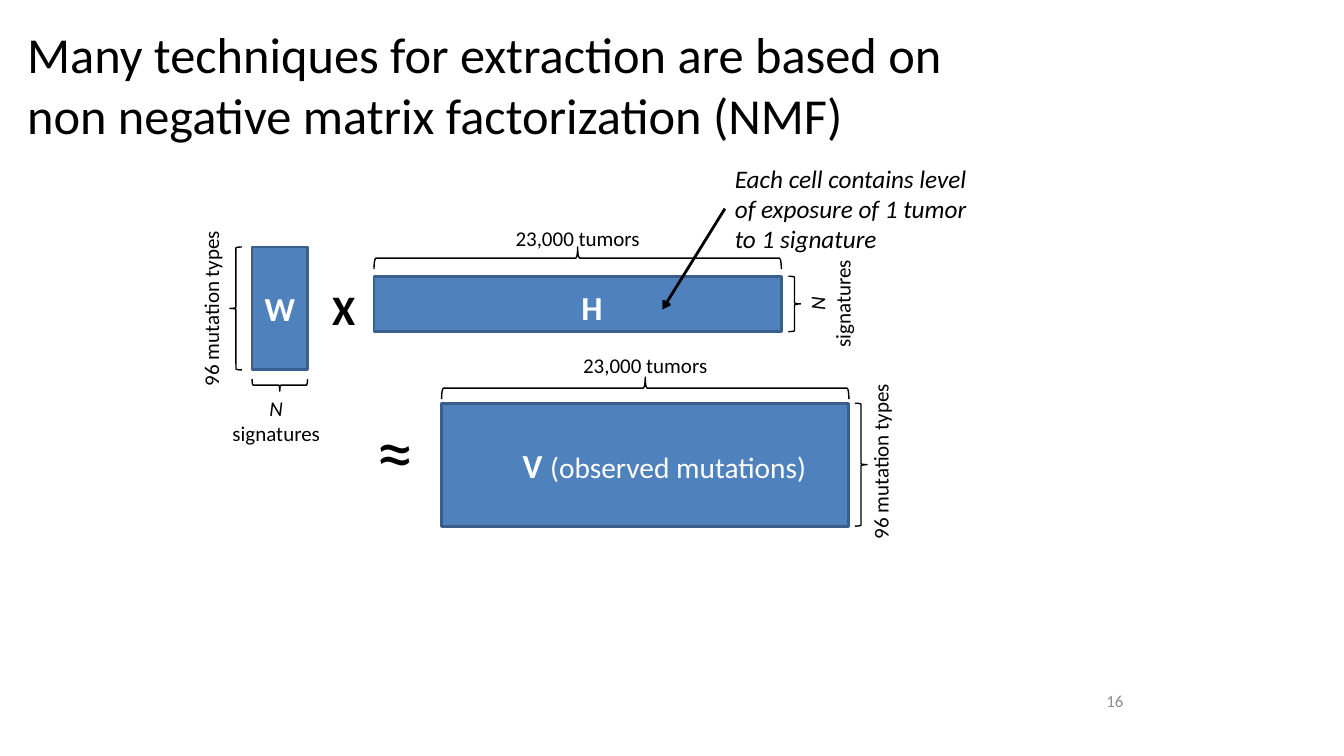
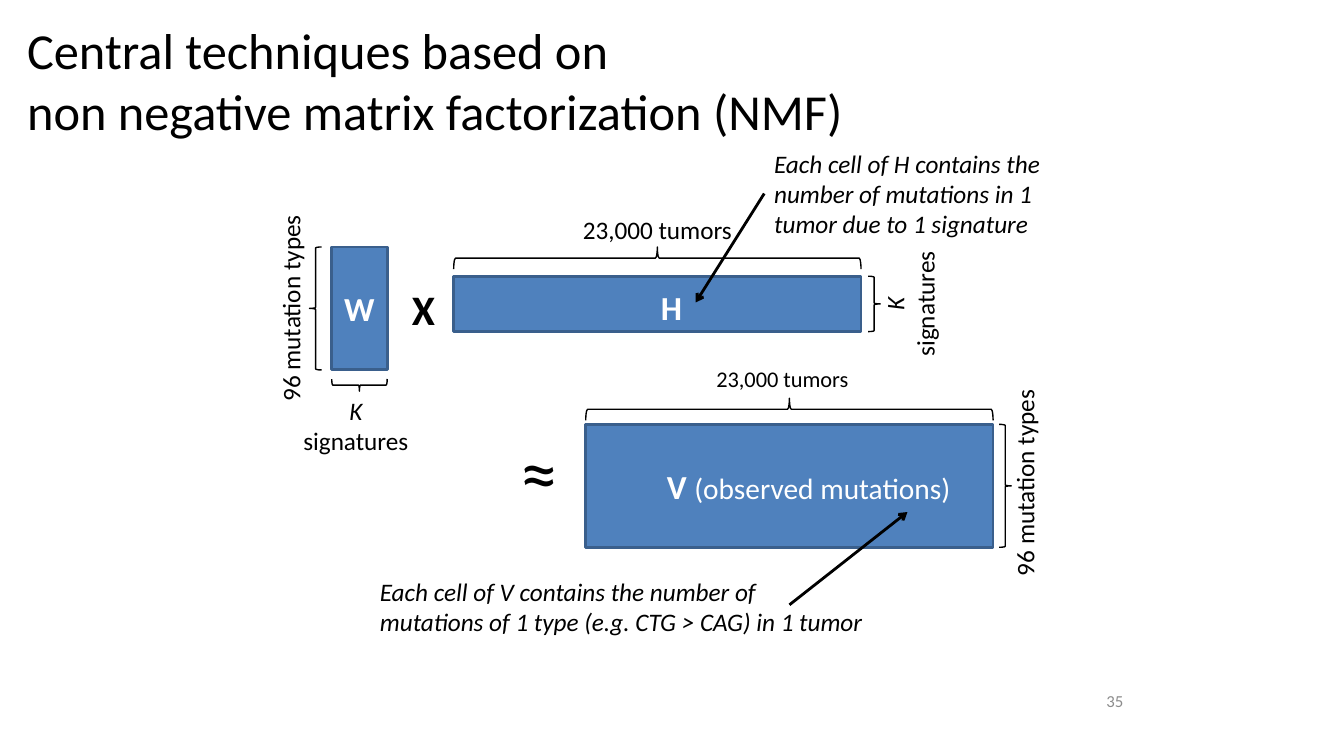
import collections

import pptx
import pptx.dml.color
import pptx.enum.shapes
import pptx.enum.text
import pptx.oxml.ns
import pptx.util
from lxml import etree

Inches = pptx.util.Inches
RGBColor = pptx.dml.color.RGBColor
Shapes = pptx.enum.shapes.MSO_SHAPE
Align = pptx.enum.text.PP_ALIGN
Anchor = pptx.enum.text.MSO_ANCHOR

FONT = "Calibri"
BLACK = RGBColor(0, 0, 0)
WHITE = RGBColor(255, 255, 255)
GREY = RGBColor(0x8C, 0x8C, 0x8C)
BLUE = RGBColor(0x4F, 0x81, 0xBD)
DARK_BLUE = RGBColor(0x3A, 0x5F, 0x8C)

WIDE, TALL, NARROW = 4.04, 1.22, 0.55  # tumors, mutation types, signatures
W_TOP, H_TOP = 2.45, 2.74
TYPES, TUMORS, SIGNATURES = "96 mutation types", "23,000 tumors", "signatures"

Span = collections.namedtuple(
    "Span", "text size color bold italic", defaults=(BLACK, False, False))


def add_spans(para, spans):
    for span in spans:
        run = para.add_run()
        run.text = span.text
        font = run.font
        font.name = FONT
        font.size = pptx.util.Pt(span.size)
        font.color.rgb = span.color
        font.bold = span.bold
        font.italic = span.italic


def add_text(page, left, top, width, height, lines, align=Align.LEFT,
             anchor=Anchor.TOP, wrap=True):
    """Add a text box; each item of lines is one paragraph's list of spans."""
    box = page.shapes.add_textbox(
        Inches(left), Inches(top), Inches(width), Inches(height))
    frame = box.text_frame
    frame.word_wrap = wrap
    frame.vertical_anchor = anchor
    for index, spans in enumerate(lines):
        para = frame.add_paragraph() if index else frame.paragraphs[0]
        para.alignment = align
        add_spans(para, spans)
    return box


def add_label(page, center_x, center_y, width, lines, rotation=0):
    """Add an unwrapped label around its centre, as high as its lines."""
    height = 0.1 + sum(spans[0].size / 60 for spans in lines)
    box = add_text(page, center_x - width / 2, center_y - height / 2, width,
                   height, lines, Align.CENTER, wrap=False)
    box.rotation = rotation


def add_types_label(page, center_x, center_y, size):
    add_label(page, center_x, center_y, 0.2 + 0.104 * size,
              [[Span(TYPES, size)]], 270)


def add_tumors_label(page, center_x, center_y, size):
    add_label(page, center_x, center_y, 0.2 + 0.083 * size,
              [[Span(TUMORS, size)]])


def add_signatures_label(page, center_x, center_y, size, symbol, rotation=0):
    add_label(page, center_x, center_y, 0.2 + 0.059 * size,
              [[Span(symbol, size, italic=True)], [Span(SIGNATURES, size)]],
              rotation)


def add_matrix(page, left, top, width, height):
    matrix = page.shapes.add_shape(
        Shapes.RECTANGLE, Inches(left), Inches(top), Inches(width), Inches(height))
    matrix.shadow.inherit = False
    matrix.fill.solid()
    matrix.fill.fore_color.rgb = BLUE
    matrix.line.color.rgb = DARK_BLUE
    matrix.line.width = pptx.util.Pt(2)
    return matrix


def add_brace(page, kind, center_x, center_y, depth, span, rotation=0):
    brace = page.shapes.add_shape(
        kind, Inches(center_x - depth / 2), Inches(center_y - span / 2),
        Inches(depth), Inches(span))
    brace.rotation = rotation
    brace.shadow.inherit = False
    brace.fill.background()
    brace.line.color.rgb = BLACK
    brace.line.width = pptx.util.Pt(1)


def add_arrow(page, start, end):
    arrow = page.shapes.add_connector(
        pptx.enum.shapes.MSO_CONNECTOR.STRAIGHT,
        *(Inches(value) for value in (*start, *end)))
    arrow.line.color.rgb = BLACK
    arrow.line.width = pptx.util.Pt(2)
    qn = pptx.oxml.ns.qn
    etree.SubElement(arrow.line._get_or_add_ln(), qn("a:tailEnd"), type="arrow")
    etree.SubElement(arrow._element.spPr, qn("a:effectLst"))
    return arrow


def add_note(page, left, top, width, height, text):
    return add_text(page, left, top, width, height,
                    [[Span(text, 18, italic=True)]])


def add_exposure_note(page, left, top, width, text, target):
    """Add the note on H with an arrow from its left side to a cell."""
    height = 1
    note = add_note(page, left, top, width, height, text)
    arrow = add_arrow(page, (left, top + height / 2), target)
    arrow.begin_connect(note, 1)


def add_w(page, left, size, symbol):
    matrix = add_matrix(page, left, W_TOP, NARROW, TALL)
    frame = matrix.text_frame
    frame.vertical_anchor = Anchor.MIDDLE
    frame.word_wrap = False
    frame.paragraphs[0].alignment = Align.CENTER
    add_spans(frame.paragraphs[0], [Span("W", 24, WHITE, True)])
    middle = W_TOP + TALL / 2
    add_brace(page, Shapes.LEFT_BRACE, left - 0.16, middle, 0.12, TALL)
    add_types_label(page, left - 0.41, middle, size)
    add_brace(page, Shapes.LEFT_BRACE, left + NARROW / 2, 3.82, 0.12, NARROW, 270)
    add_signatures_label(page, left + 0.24, 3.92 + size / 60, size, symbol)


def add_h(page, left, size, symbol, tumors_y):
    add_matrix(page, left, H_TOP, WIDE, NARROW)
    center, middle = left + WIDE / 2, H_TOP + NARROW / 2
    add_brace(page, Shapes.RIGHT_BRACE, center, 2.56, 0.22, WIDE, 270)
    add_tumors_label(page, center, tumors_y, size)
    add_brace(page, Shapes.RIGHT_BRACE, left + 4.17, middle, 0.12, NARROW)
    add_signatures_label(page, left + 4.52, middle, size, symbol, 270)
    add_label(page, left + 2.16, 3.05, 0.41, [[Span("H", 24, WHITE, True)]])


def add_v(page, left, top, size, tumors_size, tumors_x, tumors_y):
    add_matrix(page, left, top, WIDE, TALL)
    middle = top + TALL / 2
    add_brace(page, Shapes.RIGHT_BRACE, left + WIDE / 2, top - 0.15, 0.22, WIDE, 270)
    add_tumors_label(page, tumors_x, tumors_y, tumors_size)
    add_brace(page, Shapes.RIGHT_BRACE, left + 4.16, middle, 0.12, TALL)
    add_types_label(page, left + 4.35, top + 0.58, size)
    add_label(page, left + 2.21, middle, 3.05, [[
        Span("V ", 24, WHITE, True), Span("(observed mutations)", 21, WHITE)]])
    add_label(page, left - 0.46, top + 0.46, 0.58, [[Span("≈", 54)]])


def add_product(page, left, size, symbol, tumors_y):
    """Add W times H, with W starting at left."""
    add_w(page, left, size, symbol)
    add_label(page, left + 0.91, 3.06, 0.43, [[Span("X", 30, bold=True)]])
    add_h(page, left + 1.21, size, symbol, tumors_y)


def add_page(deck, title_top, title_lines, number):
    page = deck.slides.add_slide(deck.slide_layouts[6])
    first, second = title_lines
    title = add_text(page, 0.17, title_top, 11.25, 1.5, [[Span(first, 36)]],
                     anchor=Anchor.MIDDLE)
    para = title.text_frame.paragraphs[0]
    para.add_line_break()
    add_spans(para, [Span(second, 36)])
    add_text(page, 8.91, 6.8, 2.33, 0.3, [[Span(number, 12, GREY)]],
             Align.RIGHT, Anchor.MIDDLE)
    return page


def add_extraction_page(deck):
    page = add_page(deck, 0.08, (
        "Many techniques for extraction are based on",
        "non negative matrix factorization (NMF)"), "16")
    add_product(page, 2.5, 15, "N", 2.36)
    add_v(page, 4.38, 4, 15, 15, 6.4, 3.62)
    add_exposure_note(
        page, 7.19, 1.57, 2.72,
        "Each cell contains level of exposure of 1 tumor to 1 signature",
        (6.57, 3.07))


def add_central_page(deck):
    page = add_page(deck, 0.04, (
        "Central techniques based on",
        "non negative matrix factorization (NMF)"), "35")
    add_product(page, 3.29, 18, "K", 2.28)
    add_v(page, 5.81, 4.21, 18, 16, 7.76, 3.76)
    add_exposure_note(
        page, 7.58, 1.42, 2.96,
        "Each cell of H contains the number of mutations in 1 tumor due to 1 signature",
        (6.9, 3))
    add_arrow(page, (7.83, 6), (9, 5.08))
    add_note(page, 3.67, 5.67, 5, 0.7,
             "Each cell of V contains the number of mutations of 1 type "
             "(e.g. CTG > CAG) in 1 tumor")


def main():
    deck = pptx.Presentation()
    deck.slide_width = Inches(13.33)
    deck.slide_height = Inches(7.5)
    add_extraction_page(deck)
    add_central_page(deck)
    deck.save("out.pptx")


if __name__ == "__main__":
    main()
